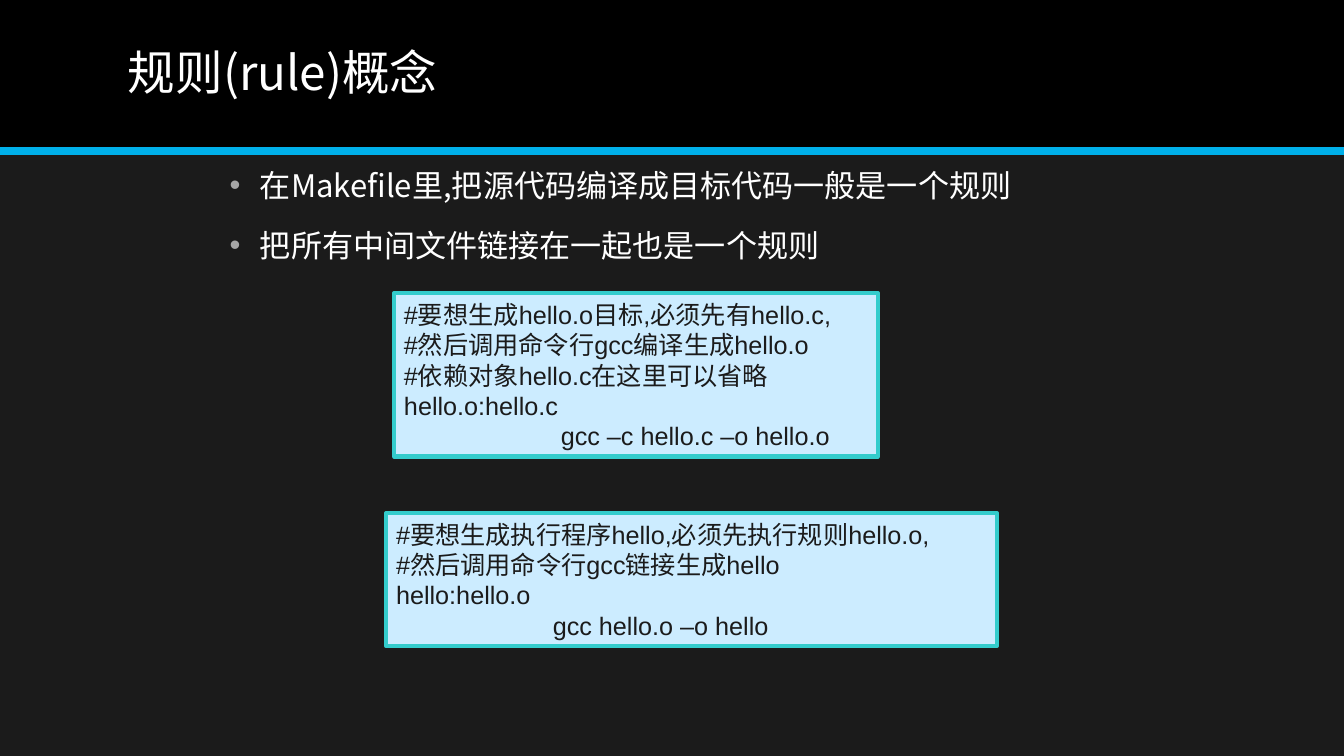
from dataclasses import dataclass

from lxml.etree import SubElement
from pptx import Presentation
from pptx.dml.color import RGBColor
from pptx.enum.shapes import MSO_CONNECTOR, MSO_SHAPE
from pptx.enum.text import MSO_ANCHOR, MSO_AUTO_SIZE, PP_ALIGN
from pptx.oxml.ns import qn
from pptx.slide import Slide
from pptx.util import Pt

COLORS = {
    "page": "1B1B1B", "header": "000000", "rule": "00B0EA", "light": "FFFFFF",
    "bullet": "A6A6A6", "code_fill": "CCECFF", "code_line": "33CCCC", "code_text": "1B1B1B",
}
HEADING_FONT = "Noto Sans CJK SC"
CODE_FONT = "Arial"
PAGE_WIDTH, PAGE_HEIGHT, HEADER_HEIGHT = 960, 540, 108
BULLET_INDENT = 21.6
COMMAND_INDENT = 112


@dataclass
class CodeBox:
    left: float
    top: float
    width: float
    height: float
    lines: list[str]
    command: str


BULLETS = ["在Makefile里,把源代码编译成目标代码一般是一个规则", "把所有中间文件链接在一起也是一个规则"]
CODE_BOXES = [
    CodeBox(281.5, 209.5, 345.6, 116.6,
            ["#要想生成hello.o目标,必须先有hello.c,", "#然后调用命令行gcc编译生成hello.o",
             "#依赖对象hello.c在这里可以省略", "hello.o:hello.c"],
            "gcc –c hello.c –o hello.o"),
    CodeBox(275.8, 366.5, 436.3, 95,
            ["#要想生成执行程序hello,必须先执行规则hello.o,", "#然后调用命令行gcc链接生成hello",
             "hello:hello.o"],
            "gcc hello.o –o hello"),
]


def color(name: str) -> RGBColor:
    return RGBColor.from_string(COLORS[name])


def set_all(target, values: dict) -> None:
    for name, value in values.items():
        setattr(target, name, value)


def place(shape, left: float, top: float, width: float, height: float) -> None:
    set_all(shape, {"left": Pt(left), "top": Pt(top), "width": Pt(width), "height": Pt(height)})


def write(para, text: str, size: float, font: str, color_name: str) -> None:
    span = para.add_run()
    span.text = text
    set_all(span.font, {"size": Pt(size), "name": font})
    span.font.color.rgb = color(color_name)
    SubElement(span.font._element, qn("a:ea"), typeface=font)


def next_paragraph(frame, index: int):
    return frame.paragraphs[0] if index == 0 else frame.add_paragraph()


def add_header(page: Slide) -> None:
    band = page.shapes.add_shape(MSO_SHAPE.RECTANGLE, 0, 0, Pt(PAGE_WIDTH), Pt(HEADER_HEIGHT))
    band.shadow.inherit = False
    band.fill.solid()
    band.fill.fore_color.rgb = color("header")
    band.line.fill.background()
    rule = page.shapes.add_connector(
        MSO_CONNECTOR.STRAIGHT, 0, Pt(HEADER_HEIGHT), Pt(PAGE_WIDTH), Pt(HEADER_HEIGHT))
    rule.line.color.rgb = color("rule")
    rule.line.width = Pt(6)
    SubElement(rule._element.spPr, qn("a:effectLst"))
    # Keep the title in front of the band
    title = page.shapes.title
    rule._element.addnext(title._element)
    place(title, 84.2, 10.1, 792, 86.4)
    set_all(title.text_frame, {
        "vertical_anchor": MSO_ANCHOR.MIDDLE, "word_wrap": True, "auto_size": MSO_AUTO_SIZE.NONE})
    para = title.text_frame.paragraphs[0]
    set_all(para, {"alignment": PP_ALIGN.LEFT, "line_spacing": 0.9})
    write(para, "规则(rule)概念", 34, HEADING_FONT, "light")


def add_bullets(page: Slide) -> None:
    box = page.shapes.add_textbox(0, 0, 0, 0)
    place(box, 157, 115.2, 658.8, 77)
    box.text_frame.word_wrap = True
    for index, text in enumerate(BULLETS):
        para = next_paragraph(box.text_frame, index)
        para.space_before = Pt(16.5)
        write(para, text, 22.2, HEADING_FONT, "light")
        settings = para._p.get_or_add_pPr()
        settings.set("marL", str(Pt(BULLET_INDENT)))
        settings.set("indent", str(Pt(-BULLET_INDENT)))
        bullet_color = SubElement(settings, qn("a:buClr"))
        SubElement(bullet_color, qn("a:srgbClr"), val=COLORS["bullet"])
        SubElement(settings, qn("a:buFont"), typeface=CODE_FONT)
        SubElement(settings, qn("a:buChar"), char="•")


def add_code_box(page: Slide, code: CodeBox) -> None:
    box = page.shapes.add_shape(MSO_SHAPE.RECTANGLE, 0, 0, 0, 0)
    place(box, code.left, code.top, code.width, code.height)
    box.shadow.inherit = False
    box.fill.solid()
    box.fill.fore_color.rgb = color("code_fill")
    box.line.color.rgb = color("code_line")
    box.line.width = Pt(3)
    frame = box.text_frame
    set_all(frame, {
        "word_wrap": True, "vertical_anchor": MSO_ANCHOR.MIDDLE,
        "auto_size": MSO_AUTO_SIZE.SHAPE_TO_FIT_TEXT})
    for index, text in enumerate([*code.lines, code.command]):
        para = next_paragraph(frame, index)
        para.alignment = PP_ALIGN.LEFT
        write(para, text, 18, CODE_FONT, "code_text")
    # The command is the indented last line
    para.level = 2
    para._p.get_or_add_pPr().set("marL", str(Pt(COMMAND_INDENT)))


# Deck and page
deck = Presentation()
set_all(deck, {"slide_width": Pt(PAGE_WIDTH), "slide_height": Pt(PAGE_HEIGHT)})
page = deck.slides.add_slide(deck.slide_layouts[5])
page.background.fill.solid()
page.background.fill.fore_color.rgb = color("page")

# Content
add_header(page)
add_bullets(page)
for code_box in CODE_BOXES:
    add_code_box(page, code_box)

deck.save("out.pptx")
